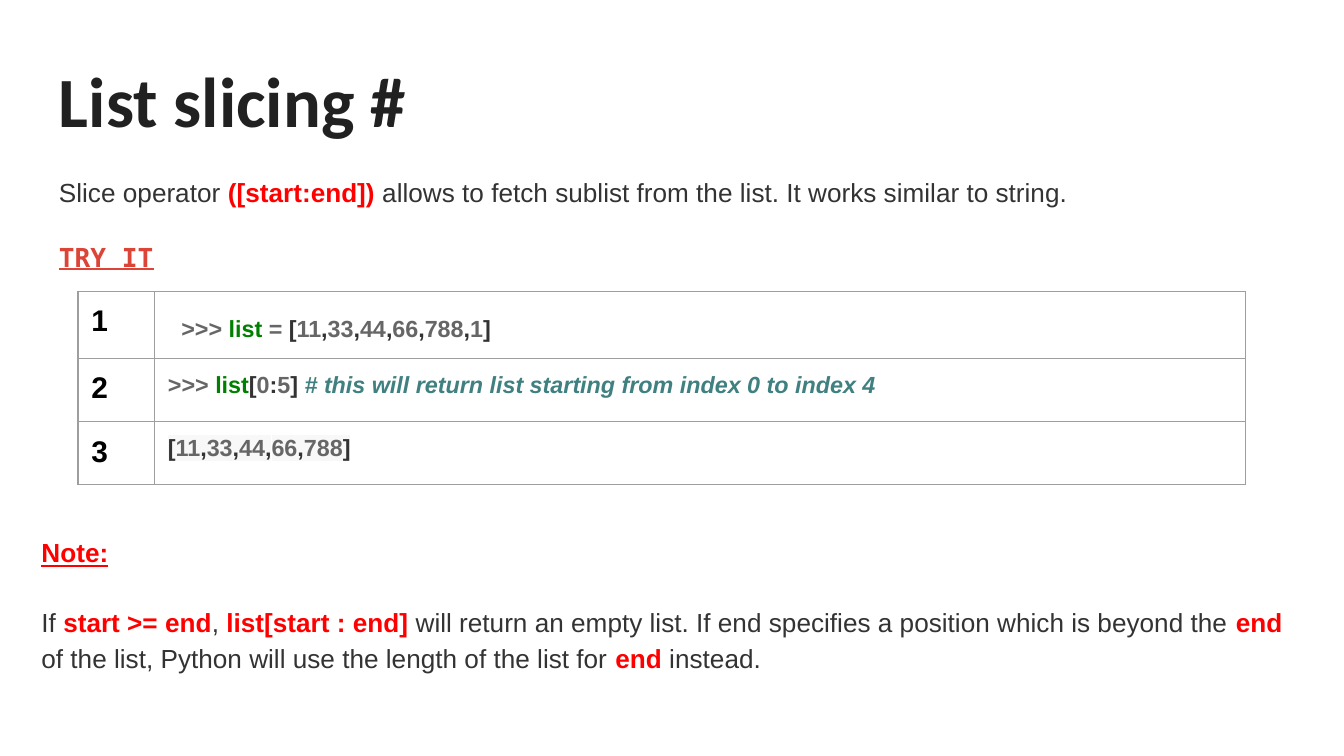
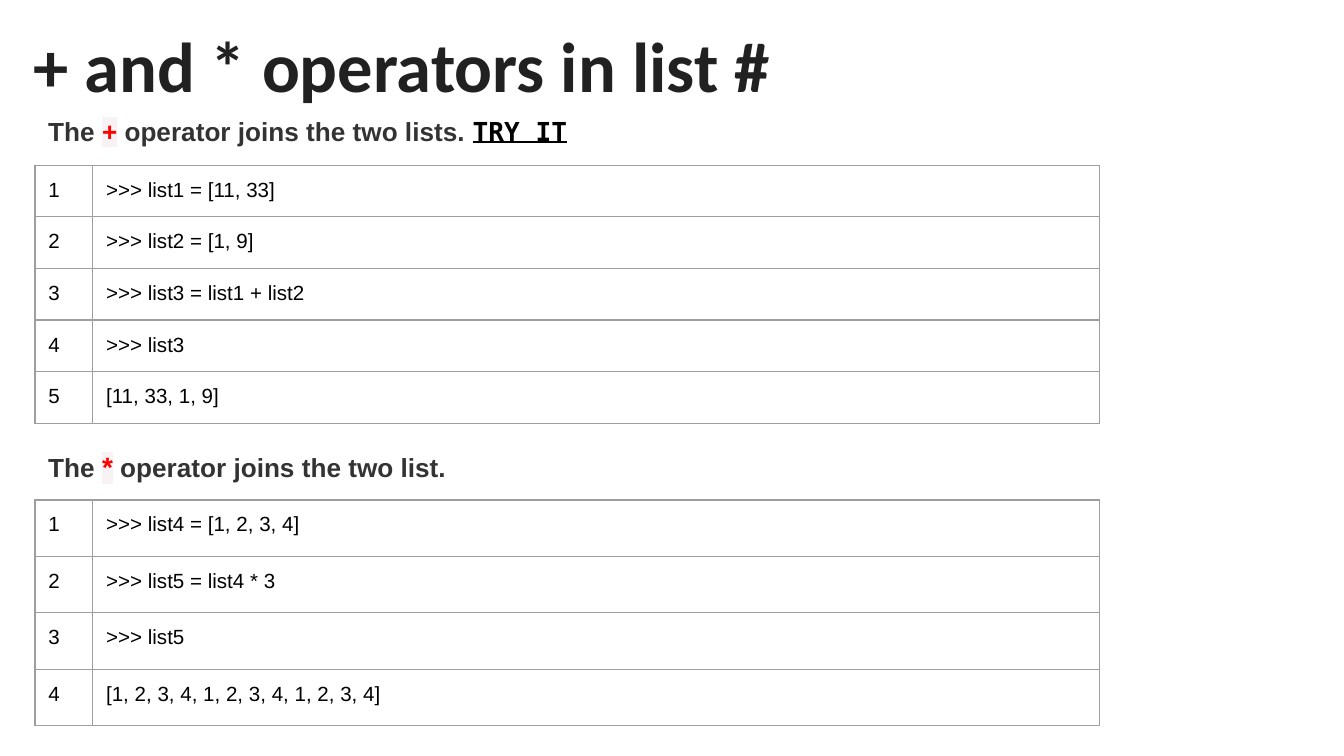
from dataclasses import dataclass
from itertools import groupby

from lxml import etree
from pptx import Presentation
from pptx.dml.color import RGBColor
from pptx.oxml import ns
from pptx.util import Inches, Pt


@dataclass(frozen=True)
class Theme:
    title: str = "212121"
    body: str = "333333"
    red: str = "FF0000"
    tomato: str = "DB4437"
    black: str = "000000"
    gray: str = "666666"
    green: str = "008000"
    teal: str = "408080"
    border: str = "9E9E9E"
    white: str = "FFFFFF"
    pink: str = "F9F2F4"
    pale: str = "F8F8F8"
    title_font: str = "Calibri"
    body_font: str = "Arial"
    mono_font: str = "DejaVu Sans Mono"
    title_size: float = 37.8
    body_size: float = 14
    star_size: float = 15
    number_size: float = 16
    code_size: float = 12.5
    cell_size: float = 11
    border_width: float = 0.75
    inset: float = 0.1
    table_frame: float = 3.28


T = Theme()


def style(color, size=T.body_size, name=T.body_font, highlight=None, **font):
    return color, highlight, {"size": Pt(size), "name": name, **font}


STYLES = {
    "title": style(T.title, T.title_size, T.title_font, bold=True),
    "body": style(T.body, highlight=T.white),
    "strong": style(T.body, highlight=T.white, bold=True),
    "key": style(T.red, bold=True),
    "key_white": style(T.red, highlight=T.white, bold=True),
    "note": style(T.red, highlight=T.white, bold=True, underline=True),
    "plus": style(T.red, highlight=T.pink, bold=True),
    "star": style(T.red, T.star_size, highlight=T.pink, bold=True),
    "try_red": style(T.tomato, name=T.mono_font, bold=True, underline=True),
    "try_black": style(T.black, name=T.mono_font, bold=True, underline=True),
    "number": style(T.black, T.number_size, bold=True),
    "cell": style(T.black, T.cell_size),
    "gray": style(T.gray, T.code_size, bold=True),
    "dark": style(T.body, T.code_size, bold=True),
    "gray_pale": style(T.gray, T.code_size, highlight=T.pale, bold=True),
    "dark_pale": style(T.body, T.code_size, highlight=T.pale, bold=True),
    "green": style(T.green, T.code_size, bold=True),
    "comment": style(T.teal, T.code_size, bold=True, italic=True),
}


def literal(code, suffix=""):
    return [("".join(part), ("gray" if digit else "dark") + suffix)
            for digit, part in groupby(code, str.isdigit)]


def set_insets(target):
    for side in ("left", "right", "top", "bottom"):
        setattr(target, f"margin_{side}", Inches(T.inset))


def add_runs(p, runs):
    for content, style_name in runs:
        color, highlight, font = STYLES[style_name]
        r = p.add_run()
        r.text = content
        for key, value in font.items():
            setattr(r.font, key, value)
        r.font.color.rgb = RGBColor.from_string(color)
        if highlight:
            mark = etree.Element(ns.qn("a:highlight"))
            etree.SubElement(mark, ns.qn("a:srgbClr"), val=highlight)
            r._r.rPr.find(ns.qn("a:solidFill")).addnext(mark)


def add_text(slide, box, paragraphs):
    sp = slide.shapes.add_textbox(*map(Inches, box))
    tf = sp.text_frame
    tf.word_wrap = True
    set_insets(tf)
    for i, (runs, layout) in enumerate(paragraphs):
        p = tf.add_paragraph() if i else tf.paragraphs[0]
        for key, value in layout.items():
            setattr(p, key, value)
        add_runs(p, runs)


def add_title(slide, left, top, title):
    add_text(slide, (left, top, 9.32, 0.88), [([(title, "title")], {})])


def set_borders(cell):
    tcPr = cell._tc.get_or_add_tcPr()
    for side in ("lnL", "lnR", "lnT", "lnB"):
        ln = etree.SubElement(tcPr, ns.qn(f"a:{side}"), w=str(Pt(T.border_width)))
        fill = etree.SubElement(ln, ns.qn("a:solidFill"))
        etree.SubElement(fill, ns.qn("a:srgbClr"), val=T.border)


def add_code_table(slide, left, top, widths, row_height, lines, number_style):
    frame = slide.shapes.add_table(
        len(lines), len(widths), Inches(left), Inches(top),
        Inches(sum(widths)), Inches(row_height * len(lines)))
    table = frame.table
    table.first_row = table.horz_banding = False
    for column, width in zip(table.columns, widths):
        column.width = Inches(width)
    for i, runs in enumerate(lines):
        table.rows[i].height = Inches(row_height)
        for j, content in enumerate(([(str(i + 1), number_style)], runs)):
            cell = table.cell(i, j)
            set_insets(cell)
            set_borders(cell)
            cell.fill.background()
            add_runs(cell.text_frame.paragraphs[0], content)
    frame.width = frame.height = Inches(T.table_frame)
    return table


def add_note(slide, box):
    spacing = {"line_spacing": 1.15}
    add_text(slide, box, [
        ([("Note:", "note")], spacing),
        ([("If ", "body"), ("start >= end", "key_white"), (", ", "body"),
          ("list[start : end] ", "key_white"),
          ("will return an empty list. If end specifies a position "
           "which is beyond the ", "body"),
          ("end ", "key_white"),
          ("of the list, Python will use the length of the list for ", "body"),
          ("end ", "key_white"), ("instead.", "body")],
         {**spacing, "space_before": Pt(18)}),
    ])


def add_operator(slide, left, top, heading, table_top, row_height, lines):
    add_text(slide, (left, top, 9.32, 0.58), [(heading, {"line_spacing": 1.15})])
    add_code_table(slide, left, table_top, (0.43, 7.49), row_height,
                   [[(line, "cell")] for line in lines], "cell")


def build_slicing(slide):
    left = 0.34
    add_title(slide, left, 0.32, "List slicing #")
    add_text(slide, (left, 1.18, 9.32, 0.88), [
        ([("Slice operator ", "body"), ("([start:end]) ", "key"),
          ("allows to fetch sublist from the list. It works similar to string.",
           "body")], {"line_spacing": 1.15}),
        ([("TRY IT", "try_red")], {"space_before": Pt(18)}),
    ])
    prompt = (">>> ", "gray")
    table = add_code_table(slide, 0.58, 2.17, (0.57, 8.12), 0.47, [
        [prompt, ("list ", "green"), ("=", "gray"),
         *literal(" [11,33,44,66,788,1]")],
        [prompt, ("list", "green"), *literal("[0:5] "),
         ("# this will return list starting from index 0 to index 4", "comment")],
        literal("[11,33,44,66,788]", "_pale"),
    ], "number")
    p = table.cell(0, 1).text_frame.paragraphs[0]
    p.line_spacing = 1.43
    pPr = p._p.get_or_add_pPr()
    for key, value in {"marL": Inches(0.1), "indent": 0}.items():
        pPr.set(key, str(value))
    add_note(slide, (0.21, 3.86, 9.59, 1.19))


def build_operators(slide):
    add_title(slide, 0.15, 0.06, "+ and * operators in list #")
    left = 0.26
    add_operator(
        slide, left, 0.72,
        [("The ", "strong"), ("+", "plus"),
         (" operator joins the two lists. ", "strong"), ("TRY IT", "try_black")],
        1.23, 0.31,
        [">>> list1 = [11, 33]", ">>> list2 = [1, 9]",
         ">>> list3 = list1 + list2", ">>> list3", "[11, 33, 1, 9]"])
    add_operator(
        slide, left, 3.21,
        [("The ", "strong"), ("*", "star"),
         (" operator joins the two list.", "strong")],
        3.72, 0.42,
        [">>> list4 = [1, 2, 3, 4]", ">>> list5 = list4 * 3",
         ">>> list5", "[1, 2, 3, 4, 1, 2, 3, 4, 1, 2, 3, 4]"])


def main():
    prs = Presentation()
    prs.slide_width = Inches(10)
    prs.slide_height = prs.slide_width * 9 // 16
    for build in (build_slicing, build_operators):
        build(prs.slides.add_slide(prs.slide_layouts[6]))
    prs.save("out.pptx")


if __name__ == "__main__":
    main()
